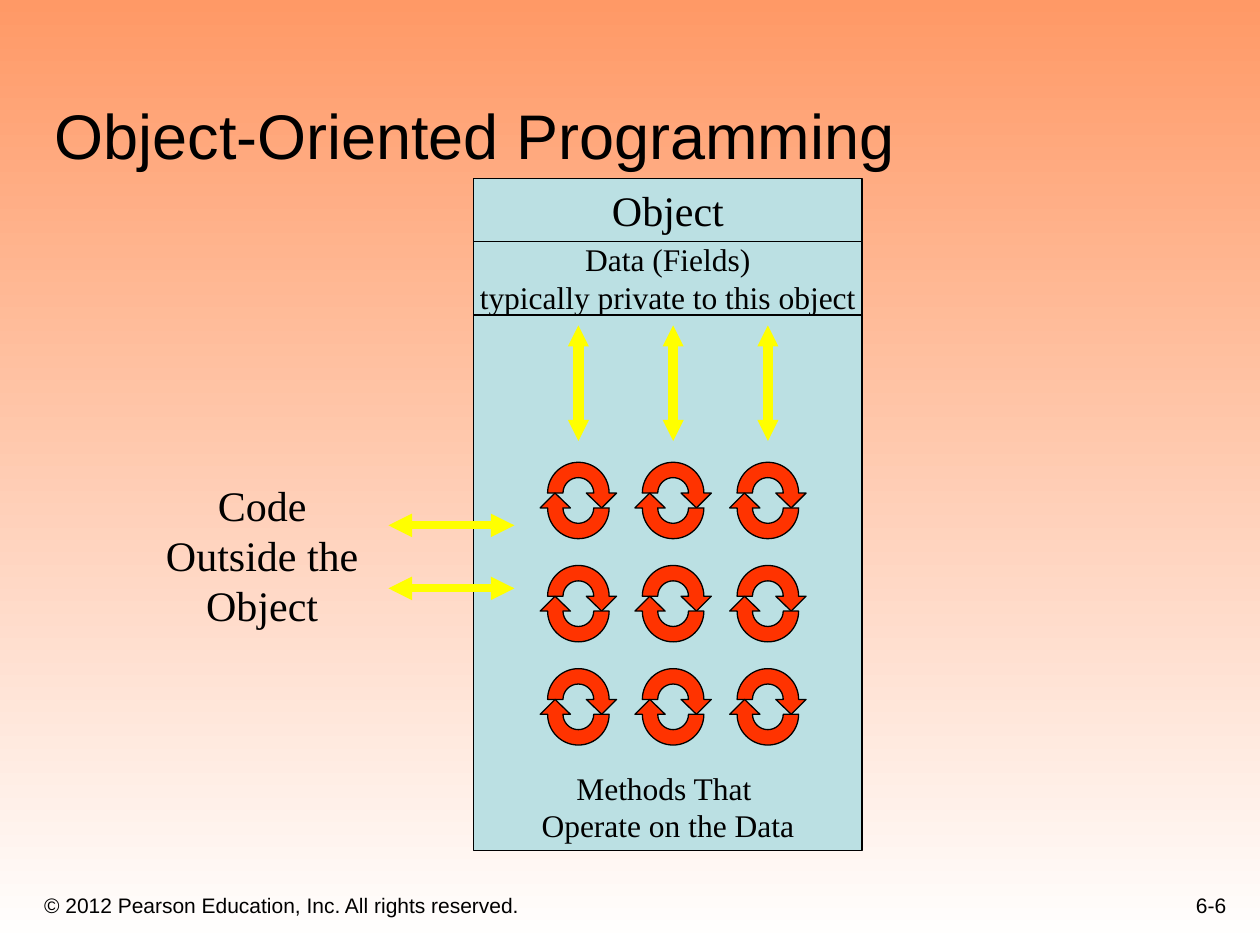
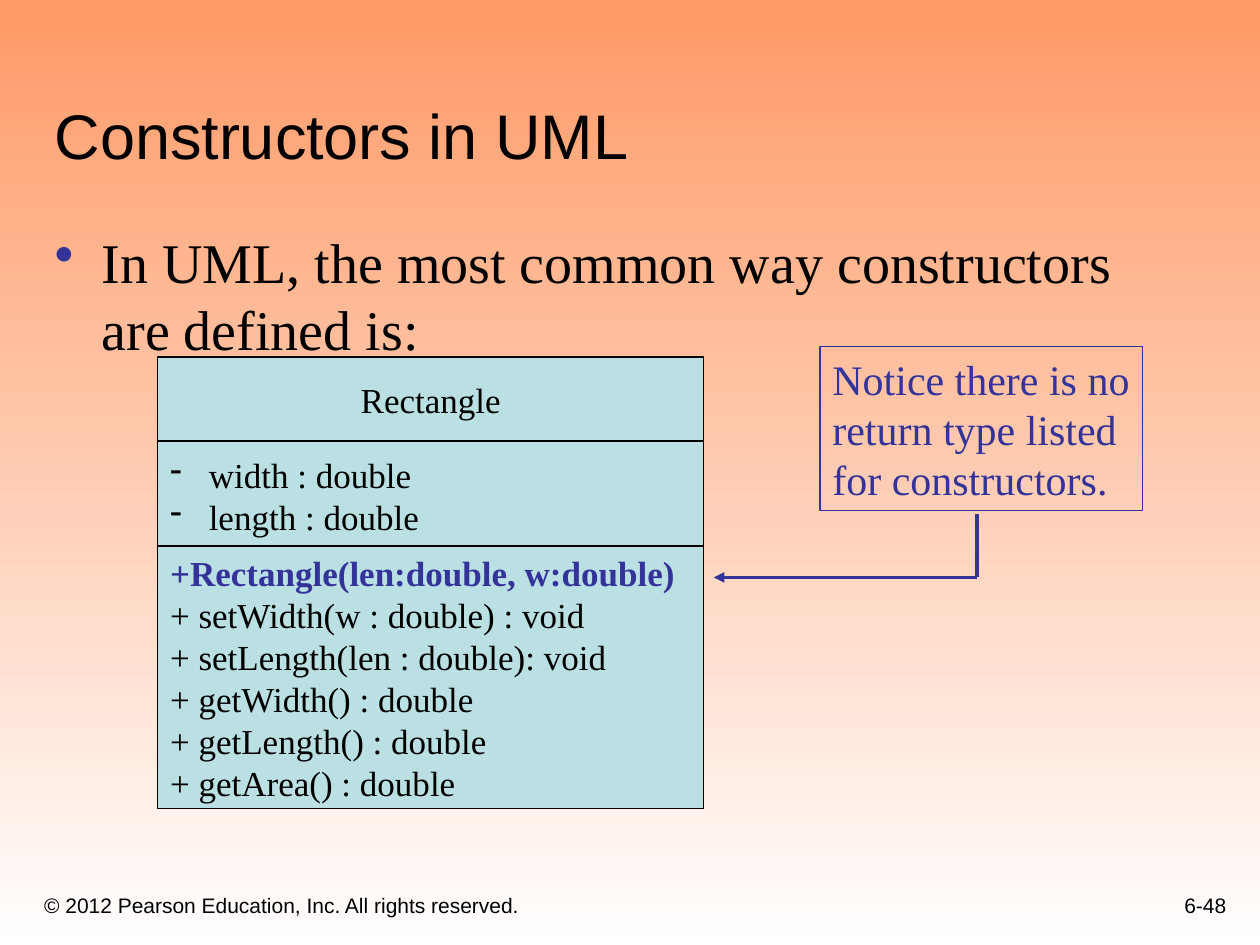
import lxml.etree
import pptx
import pptx.dml.color
import pptx.enum.shapes
import pptx.enum.text
import pptx.oxml.ns
import pptx.util

Cm = pptx.util.Cm
Pt = pptx.util.Pt
qn = pptx.oxml.ns.qn
ALIGN = pptx.enum.text.PP_ALIGN
ANCHOR = pptx.enum.text.MSO_ANCHOR
SHAPE = pptx.enum.shapes.MSO_SHAPE
CONNECTOR = pptx.enum.shapes.MSO_CONNECTOR

COLORS = {
    "background_top": "FF9966",
    "background_bottom": "FFFFFF",
    "text": "000000",
    "accent": "333399",
    "box": "BBE0E3",
    "cycle": "FF3300",
    "flow": "FFFF00",
}
SANS = "Arial"
SERIF = "Times New Roman"


def color(name):
    return pptx.dml.color.RGBColor.from_string(COLORS[name])


def add_element(parent, tag, **attributes):
    return lxml.etree.SubElement(parent, qn(tag), attributes)


def add_bullet(paragraph, character, color_name, indent):
    properties = paragraph._p.get_or_add_pPr()
    properties.set("marL", str(Cm(indent)))
    properties.set("indent", str(-Cm(indent)))
    bullet_color = add_element(properties, "a:buClr")
    add_element(bullet_color, "a:srgbClr", val=COLORS[color_name])
    add_element(properties, "a:buChar", char=character)


def write_text(shape, *lines, size=18, font=SERIF, color_name="text", align=ALIGN.LEFT,
               anchor=ANCHOR.TOP, wrap=True, right_inset=0.25, bullet=None, lead=False):
    """Put one paragraph per line; lead makes the first bold in the accent colour."""
    frame = shape.text_frame
    frame.word_wrap = wrap
    frame.vertical_anchor = anchor
    frame.margin_left, frame.margin_right = Cm(0.25), Cm(right_inset)
    frame.margin_top = frame.margin_bottom = Cm(0.13)
    for index, line in enumerate(lines):
        paragraph = frame.add_paragraph() if index else frame.paragraphs[0]
        paragraph.text = line
        paragraph.alignment = align
        if bullet:
            add_bullet(paragraph, *bullet)
        leading = lead and index == 0
        for run in paragraph.runs:
            run.font.name = font
            run.font.size = Pt(size)
            run.font.bold = leading
            run.font.color.rgb = color("accent" if leading else color_name)


def add_text(shapes, box, *lines, **text_format):
    write_text(shapes.add_textbox(*map(Cm, box)), *lines, **text_format)


def style_shape(shape, fill_name, line_name="text"):
    shape.shadow.inherit = False
    if fill_name:
        shape.fill.solid()
        shape.fill.fore_color.rgb = color(fill_name)
    else:
        shape.fill.background()
    shape.line.color.rgb = color(line_name)
    shape.line.width = Pt(0.75)


def add_box(shapes, box, *lines, fill_name="box", line_name="text", **text_format):
    rectangle = shapes.add_shape(SHAPE.RECTANGLE, *map(Cm, box))
    style_shape(rectangle, fill_name, line_name)
    write_text(rectangle, *lines, **text_format)


def add_line(shapes, start, end, color_name, width, arrows=(), arrow_size="med"):
    """Draw a straight line; arrows lists the ends, headEnd or tailEnd, that have a triangle."""
    connector = shapes.add_connector(CONNECTOR.STRAIGHT, *map(Cm, (*start, *end)))
    connector.line.color.rgb = color(color_name)
    connector.line.width = Pt(width)
    for arrow in arrows:
        add_element(connector.line._ln, f"a:{arrow}", type="triangle",
                    w=arrow_size, len=arrow_size)
    add_element(connector._element.spPr, "a:effectLst")


def add_double_arrow(shapes, start, end, width, arrow_size="med"):
    add_line(shapes, start, end, "flow", width, ("headEnd", "tailEnd"), arrow_size)


def half_circle(radius, side):
    """Points of two Bézier quarters over the top, starting on the given side (1 right, -1 left)."""
    pull = 0.55 * radius
    return [(side * radius, -pull), (side * pull, -radius), (0, -radius),
            (-side * pull, -radius), (-side * radius, -pull), (-side * radius, 0)]


def bend_segments(shape, starts):
    """Turn three line segments from each start into one Bézier curve."""
    segments = list(shape._element.iter(qn("a:lnTo")))
    for start in starts:
        curve = lxml.etree.Element(qn("a:cubicBezTo"))
        segments[start].addprevious(curve)
        for segment in segments[start:start + 3]:
            curve.append(segment[0])
            segment.getparent().remove(segment)


def add_cycle(shapes, center_x, center_y):
    """Draw two half-ring arrows that chase each other round a centre."""
    inner, outer, lift = 0.31, 0.62, 0.15
    outline = [(inner, 0), *half_circle(inner, 1), (-outer, 0), *half_circle(outer, -1),
               (0.77, 0), (0.47, 2 * lift), (0.16, 0)]
    for turn in (1, -1):
        points = [(Cm(center_x + turn * x), Cm(center_y + turn * (y - lift)))
                  for x, y in outline]
        builder = shapes.build_freeform(*points[0])
        builder.add_line_segments(points[1:], close=True)
        arrow = builder.convert_to_shape()
        bend_segments(arrow, (0, 3, 7, 10))
        style_shape(arrow, "cycle")


def add_base_slide(presentation, title, number):
    slide = presentation.slides.add_slide(presentation.slide_layouts[6])
    fill = slide.background.fill
    fill.gradient()
    fill.gradient_angle = 270
    for stop, name in zip(fill.gradient_stops, ("background_top", "background_bottom")):
        stop.color.rgb = color(name)
    base = {"font": SANS, "anchor": ANCHOR.BOTTOM}
    add_text(slide.shapes, (0.64, 17.56, 15.44, 1.07),
             "© 2012 Pearson Education, Inc. All rights reserved.", size=12, **base)
    add_text(slide.shapes, (19.69, 17.36, 5.28, 1.27), number,
             size=12, align=ALIGN.RIGHT, **base)
    add_text(slide.shapes, (0.85, 0.84, 23.93, 2.76), title, size=36, **base)
    return slide


def add_object_diagram(slide, left, top, width):
    shapes = slide.shapes.add_group_shape().shapes
    centered = {"align": ALIGN.CENTER, "wrap": False}
    add_box(shapes, (left, top, width, 1.27), "Object",
            size=24, anchor=ANCHOR.MIDDLE, **centered)
    add_box(shapes, (left, top + 1.27, width, 1.48),
            "Data (Fields)\vtypically private to this object",
            anchor=ANCHOR.MIDDLE, **centered)
    add_box(shapes, (left, top + 2.75, width, 10.8),
            "Methods That \vOperate on the Data", anchor=ANCHOR.BOTTOM, **centered)
    for column in range(3):
        x = left + 2.11 + 1.91 * column
        for row in range(3):
            add_cycle(shapes, x, top + 6.49 + 2.08 * row)
        add_double_arrow(shapes, (x, top + 5.29), (x, top + 2.96), 6, "sm")


def add_outside_code(slide, left, top):
    add_text(slide.shapes, (left, top, 4.65, 3.3), "Code Outside the Object",
             size=24, align=ALIGN.CENTER)
    for offset in (1.06, 2.33):
        y = top + offset
        add_double_arrow(slide.shapes, (left + 4.87, y), (left + 7.41, y), 4.5)


def add_class_diagram(slide, left, top, width):
    shapes = slide.shapes.add_group_shape().shapes
    text_format = {"size": 20, "anchor": ANCHOR.MIDDLE}
    add_box(shapes, (left, top, width, 1.69), "Rectangle", align=ALIGN.CENTER, **text_format)
    add_box(shapes, (left, top + 1.69, width, 2.18), "width : double", "length : double",
            bullet=("-", "text", 0.78), **text_format)
    add_box(shapes, (left, top + 3.81, width, 5.29),
            "+Rectangle(len:double, w:double)",
            "+ setWidth(w : double) : void",
            "+ setLength(len : double): void",
            "+ getWidth() : double",
            "+ getLength() : double",
            "+ getArea() : double", lead=True, **text_format)


def add_constructor_note(slide, left, top, width, height):
    shapes = slide.shapes.add_group_shape().shapes
    add_box(shapes, (left, top, width, height),
            "Notice there is no", "return type listed", "for constructors.",
            fill_name=None, line_name="accent", color_name="accent", size=24, wrap=False)
    corner = (left + 3.16, top + height + 1.34)
    add_line(shapes, corner, (left - 2.14, corner[1]), "accent", 2, ["tailEnd"])
    add_line(shapes, (corner[0], top + height + 0.07), corner, "accent", 2)


def build_object_slide(presentation):
    slide = add_base_slide(presentation, "Object-Oriented Programming", "6-6")
    add_object_diagram(slide, 9.55, 3.6, 7.83)
    add_outside_code(slide, 2.96, 9.53)


def build_constructor_slide(presentation):
    slide = add_base_slide(presentation, "Constructors in UML", "6-48")
    add_text(slide.shapes, (0.85, 4.45, 23.04, 12.7),
             "In UML, the most common way constructors are defined is:",
             size=32, right_inset=0, bullet=("•", "accent", 0.95))
    add_class_diagram(slide, 3.18, 7.2, 11.01)
    add_constructor_note(slide, 16.53, 6.99, 6.5, 3.31)


def main():
    presentation = pptx.Presentation()
    presentation.slide_width = Cm(25.4)
    presentation.slide_height = Cm(19.05)
    build_object_slide(presentation)
    build_constructor_slide(presentation)
    presentation.save("out.pptx")


if __name__ == "__main__":
    main()
